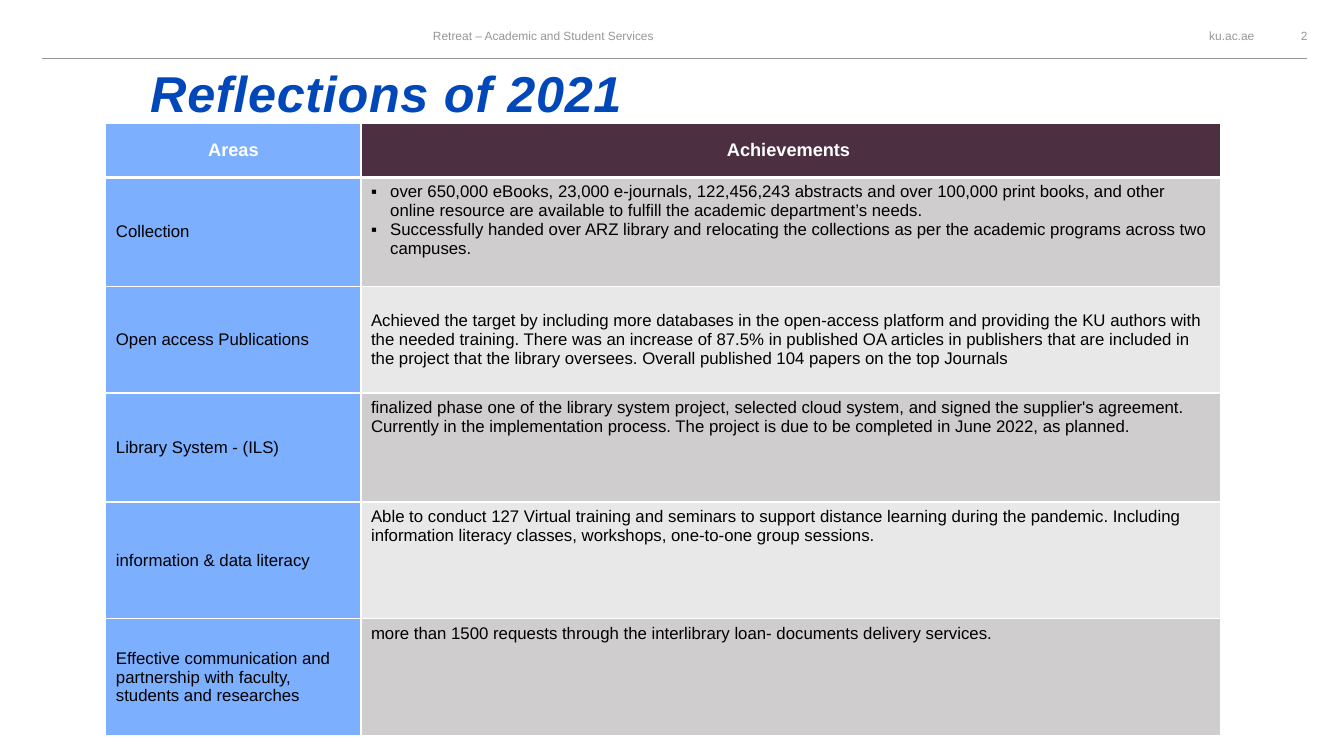
"""Build the Reflections of 2021 slide with its table of achievements."""
from lxml.etree import SubElement as Sub
from pptx import Presentation
from pptx.dml.color import RGBColor as RGB
from pptx.enum.shapes import MSO_CONNECTOR as Conn
from pptx.enum.text import MSO_ANCHOR as Anchor, PP_ALIGN as Align
from pptx.oxml.ns import qn
from pptx.util import Inches as In, Pt

HEX = {"gray": "96969A", "title": "0047BA", "white": "FFFFFF", "black": "000000",
       "blue": "7DAFFF", "plum": "4C3041", "dark": "D0CDCF", "light": "E9E8E9"}
COLS = [2.53, 8.53]
ROWS = [0.54, 1.08, 1.06, 1.08, 1.16, 1.16]
DATA = [
    ("Areas", ["Achievements "]),
    ("Collection", [
        "over 650,000 eBooks, 23,000 e-journals, 122,456,243 abstracts and over 100,000 print "
        "books, and other online resource are available to fulfill the academic department’s needs.",
        "Successfully handed over ARZ library and relocating the collections as per the academic "
        "programs across two campuses."]),
    ("Open access Publications", [
        "Achieved the target by including more databases in the open-access platform and providing "
        "the KU authors with the needed training. There was an increase of 87.5% in published OA "
        "articles in publishers that are included in the project that the library oversees. "
        "Overall published 104 papers on the top Journals"]),
    ("Library System - (ILS)", [
        "finalized phase one of the library system project, selected cloud system, and signed the "
        "supplier's agreement. Currently in the implementation process. The project is due to be "
        "completed in June 2022, as planned."]),
    ("information & data literacy", [
        "Able to conduct 127 Virtual training and seminars to support distance learning during the "
        "pandemic. Including information literacy classes, workshops, one-to-one group sessions."]),
    ("Effective communication and partnership with faculty, students and researches", [
        "more than 1500 requests through the interlibrary loan- documents delivery services."]),
]


def write(para, text, size, color, bold=False):
    run = para.add_run()
    run.text = text
    font = run.font
    font.name, font.size, font.bold = "Arial", Pt(size), bold
    font.color.rgb = RGB.from_string(HEX[color])
    return run


def box(left, top, width, height, anchor, align):
    frame = slide.shapes.add_textbox(In(left), In(top), In(width), In(height)).text_frame
    frame.word_wrap = True
    frame.vertical_anchor = anchor
    frame.margin_left = frame.margin_right = frame.margin_top = frame.margin_bottom = 0
    frame.paragraphs[0].alignment = align
    return frame.paragraphs[0]


deck = Presentation()
deck.slide_width, deck.slide_height = In(13.33), In(7.5)
slide = deck.slides.add_slide(deck.slide_layouts[6])

for left, width, align, text in [
        (11.39, 1.05, Align.RIGHT, "ku.ac.ae"),
        (12.65, 0.57, Align.CENTER, "2"),
        (3.14, 4.5, Align.CENTER, "Retreat – Academic and Student Services")]:
    write(box(left, 0.22, width, 0.27, Anchor.MIDDLE, align), text, 8.5, "gray")

rule = slide.shapes.add_connector(Conn.STRAIGHT, In(0.42), In(0.58), In(12.96), In(0.58))
rule.line.color.rgb = RGB.from_string(HEX["gray"])
rule.line.width = Pt(0.75)
Sub(rule._element.spPr, qn("a:effectLst"))

title = write(box(1.49, 0, 9.81, 1.22, Anchor.BOTTOM, Align.LEFT),
              "Reflections of 2021", 36, "title", True)
title.font.italic = True
title._r.get_or_add_rPr().set("spc", "50")

table = slide.shapes.add_table(len(ROWS), len(COLS), In(1.05), In(1.22),
                               In(sum(COLS)), In(sum(ROWS))).table
for col, width in zip(table.columns, COLS):
    col.width = In(width)
for row, height in zip(table.rows, ROWS):
    row.height = In(height)

for r, (area, items) in enumerate(DATA):
    head = r == 0
    for c, texts in enumerate([[area], items]):
        cell = table.cell(r, c)
        props = cell._tc.get_or_add_tcPr()
        for side in "LRTB":
            thick = (r, side) in [(0, "B"), (1, "T")]
            edge = Sub(props, qn("a:ln" + side), w=str(Pt(3 if thick else 1)))
            Sub(Sub(edge, qn("a:solidFill")), qn("a:srgbClr"), val=HEX["white"])
        shade = "blue" if c == 0 else "plum" if head else "dark" if r % 2 else "light"
        cell.fill.solid()
        cell.fill.fore_color.rgb = RGB.from_string(HEX[shade])
        middle = c == 0 or r in (0, 2)
        cell.vertical_anchor = Anchor.MIDDLE if middle else Anchor.TOP
        frame = cell.text_frame
        for i, text in enumerate(texts):
            para = frame.add_paragraph() if i else frame.paragraphs[0]
            para.alignment = Align.CENTER if head else Align.LEFT
            if len(texts) > 1:
                form = para._p.get_or_add_pPr()
                form.set("marL", str(In(0.19)))
                form.set("indent", str(-In(0.19)))
                Sub(form, qn("a:buFont"), typeface="Arial")
                Sub(form, qn("a:buChar"), char="▪")
            write(para, text, 13 if head else 12, "white" if head else "black", head)

deck.save("out.pptx")
